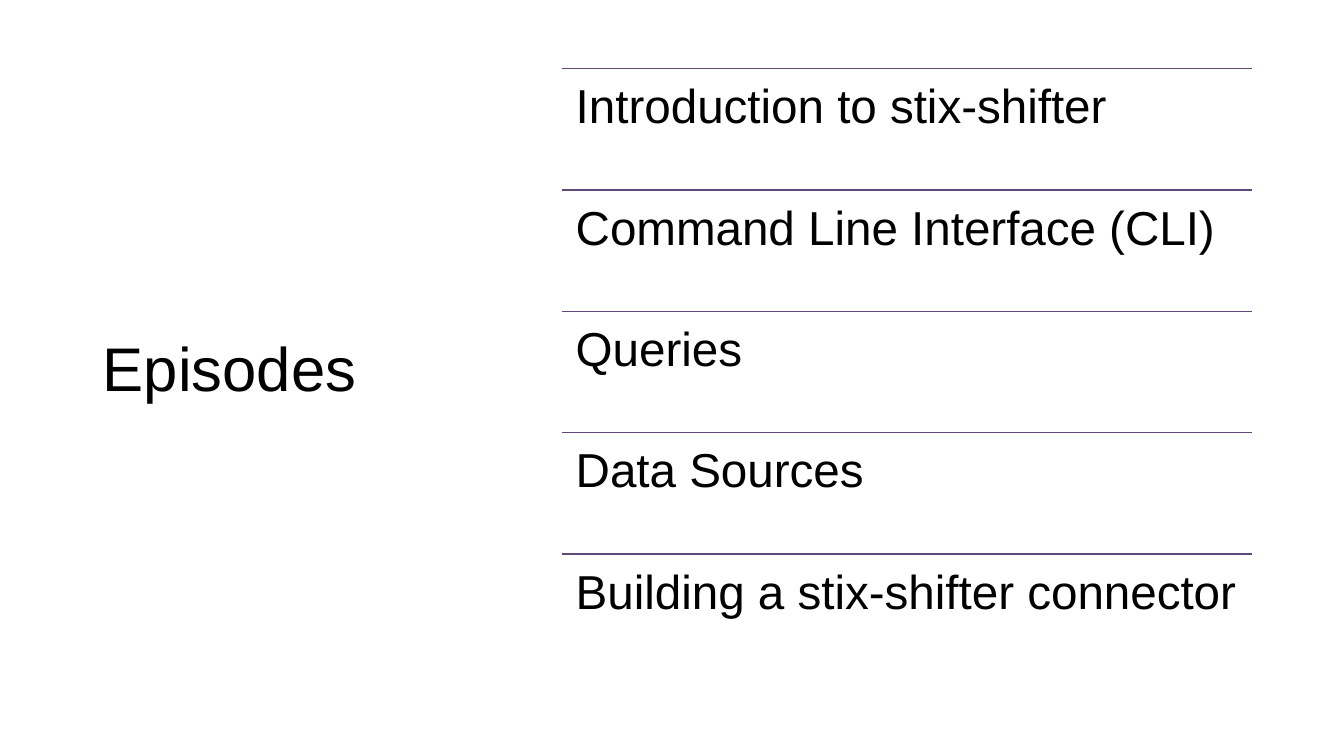
from dataclasses import dataclass

from lxml.etree import SubElement
from pptx import Presentation
from pptx.dml.color import RGBColor
from pptx.enum.shapes import MSO_CONNECTOR
from pptx.enum.text import MSO_ANCHOR, MSO_AUTO_SIZE, PP_ALIGN
from pptx.oxml.ns import qn
from pptx.util import Pt

SCALE = 9144


@dataclass(frozen=True)
class Theme:
    """Colours and type sizes of the slide."""
    font: str = "Arial"
    ink: RGBColor = RGBColor(0, 0, 0)
    rule: RGBColor = RGBColor(0x60, 0x48, 0x78)
    title: int = 44
    item: int = 34
    line: int = 1


THEME = Theme()
EPISODES = [
    "Introduction to stix-shifter",
    "Command Line Interface (CLI)",
    "Queries",
    "Data Sources",
    "Building a stix-shifter connector",
]


def px(*sizes):
    """Turn lengths in px into EMU."""
    return [round(size * SCALE) for size in sizes]


def assign(target, values):
    """Set each named attribute on the target."""
    for name, value in values.items():
        setattr(target, name, value)


def write(frame, text, size, anchor, insets):
    """Fill a text frame with one formatted paragraph."""
    left, top, right, bottom = px(*insets)
    assign(frame, {
        "text": text, "word_wrap": True, "auto_size": MSO_AUTO_SIZE.NONE,
        "vertical_anchor": anchor, "margin_left": left, "margin_top": top,
        "margin_right": right, "margin_bottom": bottom,
    })
    para = frame.paragraphs[0]
    assign(para, {"line_spacing": 0.9, "alignment": PP_ALIGN.LEFT})
    font = para.runs[0].font
    assign(font, {"name": THEME.font, "size": Pt(size)})
    font.color.rgb = THEME.ink


def add_title(slide, box, text):
    """Place the slide title in the box."""
    title = slide.shapes.title
    assign(title, dict(zip(("left", "top", "width", "height"), px(*box))))
    write(title.text_frame, text, THEME.title, MSO_ANCHOR.MIDDLE, (10, 5, 10, 5))


def add_rule(shapes, left, top, width):
    """Draw a thin line across the list."""
    rule = shapes.add_connector(
        MSO_CONNECTOR.STRAIGHT, *px(left, top, left + width, top))
    rule.line.color.rgb = THEME.rule
    rule.line.width = Pt(THEME.line)
    SubElement(rule._element.spPr, qn("a:effectLst"))


def add_list(slide, box, items):
    """Stack ruled rows of equal height in the box."""
    left, top, width, height = box
    step = height / len(items)
    shapes = slide.shapes.add_group_shape().shapes
    for index, item in enumerate(items):
        row = top + index * step
        add_rule(shapes, left, row, width)
        label = shapes.add_textbox(*px(left, row, width, step))
        write(label.text_frame, item, THEME.item, MSO_ANCHOR.TOP, (14, 14, 10, 14))


def main():
    """Build the episode slide and save it."""
    deck = Presentation()
    wide, high = px(1333, 750)
    assign(deck, {"slide_width": wide, "slide_height": high})
    slide = deck.slides.add_slide(deck.slide_layouts.get_by_name("Title Only"))
    add_title(slide, (92, 68, 369, 602), "Episodes")
    add_list(slide, (557, 68, 685, 602), EPISODES)
    deck.save("out.pptx")


if __name__ == "__main__":
    main()
